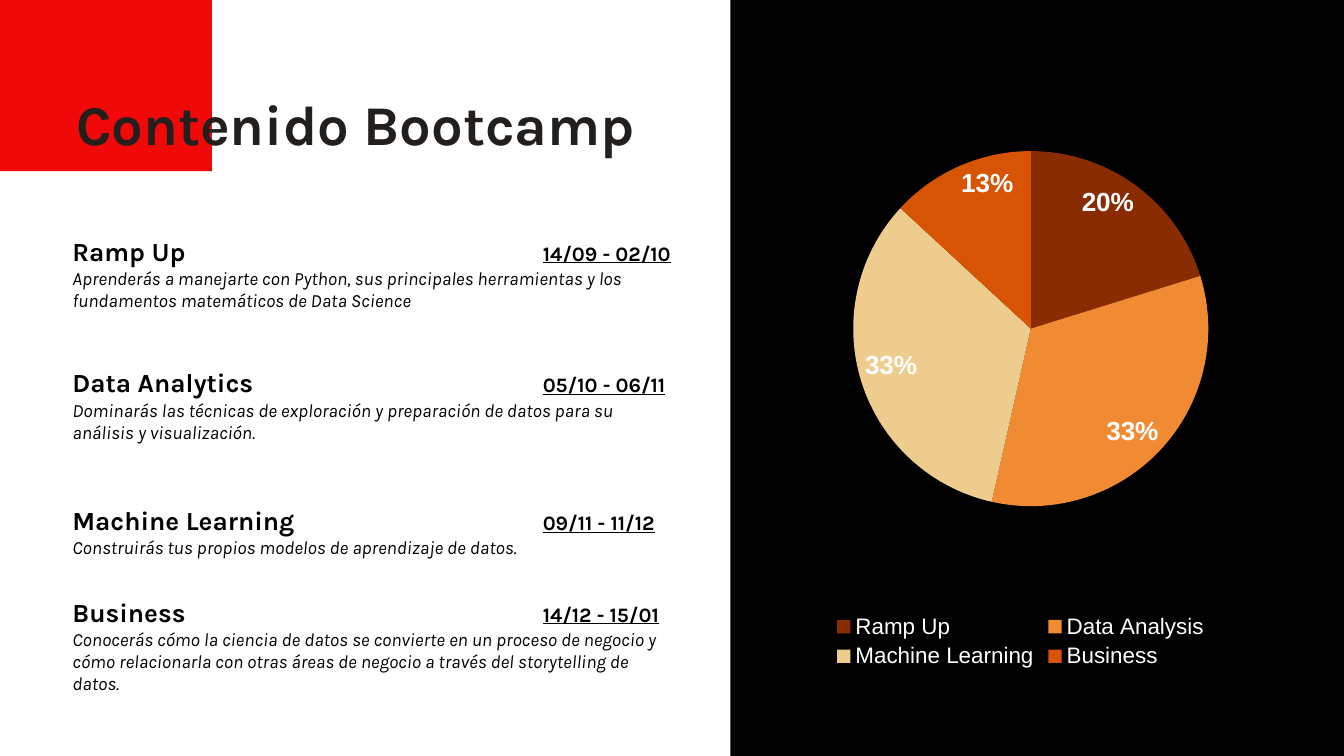
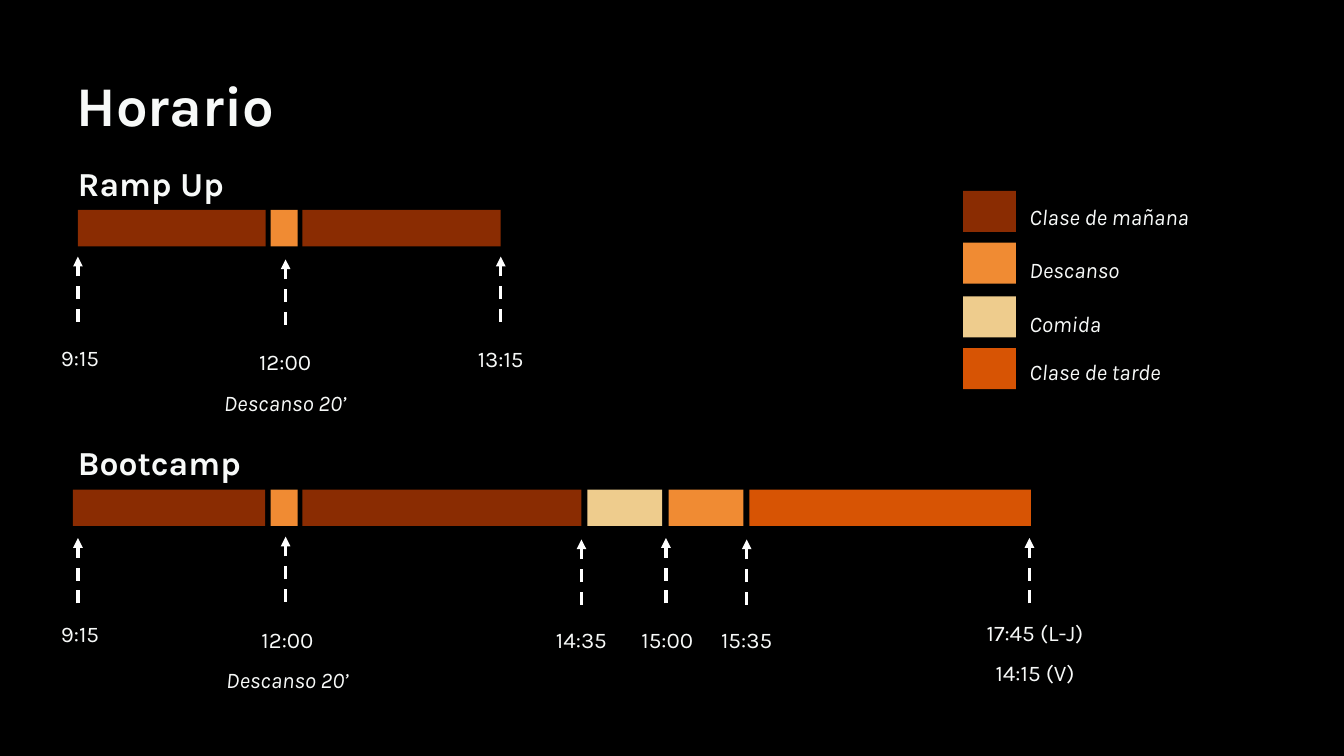
from dataclasses import dataclass
from typing import NamedTuple

from lxml import etree
from pptx import Presentation
from pptx.chart.data import CategoryChartData
from pptx.dml.color import RGBColor
from pptx.enum import chart as ch, dml, shapes, text
from pptx.oxml import ns
from pptx.util import Pt

BLACK, WHITE, RED = "000000", "FFFFFF", "F10909"
INK, PALE = "231F1D", "F7F9F8"
MORNING, BREAK, LUNCH, AFTERNOON = "8A2C02", "F08B33", "EECC8D", "D75404"
FONT, CHART_FONT = "Karla", "Arial"
WIDTH, HEIGHT = 1440, 810
ARROW_LENGTH, LABEL_WIDTH = 70, 200
DATE_TAB = 504


@dataclass
class Style:
    size: float
    color: str = PALE
    bold: bool = False
    italic: bool = False
    underline: bool = False


HEADING = Style(36, bold=True)
TIME = Style(24)
NOTE = Style(24, italic=True)


class Topic(NamedTuple):
    top: float
    name: str
    dates: str
    detail: str
    gap_size: float = 28


class Bar(NamedTuple):
    left: float
    width: float
    color: str


class Mark(NamedTuple):
    x: float
    arrow_top: float
    label_x: float
    label_top: float
    time: str
    extra: str = ""
    extra_style: Style = NOTE


class Track(NamedTuple):
    name: str
    name_top: float
    bar_top: float
    bars: list[Bar]
    marks: list[Mark]


class Key(NamedTuple):
    top: float
    text_top: float
    color: str
    name: str


TOPICS = [
    Topic(248.5, "Ramp Up", "14/09 - 02/10",
          "Aprenderás a manejarte con Python, sus principales herramientas y los "
          "fundamentos matemáticos de Data Science"),
    Topic(385, "Data Analytics", "05/10 - 06/11",
          "Dominarás las técnicas de exploración y preparación de datos para su "
          "análisis y visualización.", 32),
    Topic(537, "Machine Learning", "09/11 - 11/12",
          "Construirás tus propios modelos de aprendizaje de datos."),
    Topic(635, "Business", "14/12 - 15/01",
          "Conocerás cómo la ciencia de datos se convierte en un proceso de negocio y "
          "cómo relacionarla con otras áreas de negocio a través del storytelling de datos."),
]
SHARES = [("Ramp Up", 20, MORNING), ("Data Analysis", 33, BREAK),
          ("Machine Learning", 33, LUNCH), ("Business", 13, AFTERNOON)]
TRACKS = [
    Track("Ramp Up", 153.5, 225,
          [Bar(83.5, 201, MORNING), Bar(290, 29, BREAK), Bar(324, 212.5, MORNING)],
          [Mark(83.5, 275, 85.7, 354, "9:15"),
           Mark(306, 278, 305.5, 359, "12:00", "Descanso 20’"),
           Mark(536.5, 275, 536.5, 355, "13:15")]),
    Track("Bootcamp", 452, 524.5,
          [Bar(78, 206, MORNING), Bar(290, 29, BREAK), Bar(324, 299, MORNING),
           Bar(629.5, 80, LUNCH), Bar(716.5, 80, BREAK), Bar(803, 301.5, AFTERNOON)],
          [Mark(83.5, 576.5, 85.7, 650, "9:15"),
           Mark(306, 575, 308, 656, "12:00", "Descanso 20’"),
           Mark(623, 578, 623, 656.5, "14:35"),
           Mark(713.5, 576.5, 715, 656, "15:00"),
           Mark(800, 578, 800, 656, "15:35"),
           Mark(1103, 576.5, 1109, 648.5, "17:45 (L-J)", "14:15 (V)", TIME)]),
]
KEYS = [Key(204.5, 203, MORNING, "Clase de mañana"), Key(260, 260.5, BREAK, "Descanso"),
        Key(317.5, 317.5, LUNCH, "Comida"), Key(373, 369.5, AFTERNOON, "Clase de tarde")]


def rgb(color: str) -> RGBColor:
    return RGBColor.from_string(color)


def set_font(font, name: str, size: float, color: str, bold: bool = False) -> None:
    font.name, font.size, font.bold = name, Pt(size), bold
    font.color.rgb = rgb(color)


def add_run(p, content: str, style: Style) -> None:
    r = p.add_run()
    r.text = content
    set_font(r.font, FONT, style.size, style.color, style.bold)
    r.font.italic, r.font.underline = style.italic, style.underline


def set_frame(sp, inset_x: float = 0, inset_y: float = 0):
    tf = sp.text_frame
    tf.word_wrap = True
    tf.auto_size = text.MSO_AUTO_SIZE.SHAPE_TO_FIT_TEXT
    tf.vertical_anchor = text.MSO_ANCHOR.TOP
    tf.margin_left = tf.margin_right = Pt(inset_x)
    tf.margin_top = tf.margin_bottom = Pt(inset_y)
    return tf


def add_lines(s, left: float, top: float, width: float, lines: list[tuple[str, Style]],
              align=text.PP_ALIGN.LEFT) -> None:
    height = sum(1.8 * style.size for _, style in lines)
    tf = set_frame(s.shapes.add_textbox(Pt(left), Pt(top), Pt(width), Pt(height)))
    for i, (content, style) in enumerate(lines):
        p = tf.add_paragraph() if i else tf.paragraphs[0]
        p.alignment, p.line_spacing = align, 1.5
        add_run(p, content, style)


def add_rect(s, left: float, top: float, width: float, height: float, color: str) -> None:
    sp = s.shapes.add_shape(shapes.MSO_SHAPE.RECTANGLE, Pt(left), Pt(top), Pt(width), Pt(height))
    sp.shadow.inherit = False
    sp.fill.solid()
    sp.fill.fore_color.rgb = rgb(color)
    sp.line.fill.background()


def add_slide(prs, background: str):
    s = prs.slides.add_slide(prs.slide_layouts[5])
    s.background.fill.solid()
    s.background.fill.fore_color.rgb = rgb(background)
    return s


def set_title(s, content: str, left: float, top: float, width: float, height: float,
              color: str, spacing: float) -> None:
    sp = s.shapes.title
    sp.left, sp.top, sp.width, sp.height = Pt(left), Pt(top), Pt(width), Pt(height)
    p = set_frame(sp).paragraphs[0]
    p.alignment, p.line_spacing = text.PP_ALIGN.LEFT, spacing
    add_run(p, content, Style(60, color, bold=True))
    sp._element.getparent().append(sp._element)


def add_topic(s, topic: Topic) -> None:
    tf = set_frame(s.shapes.add_textbox(Pt(70.5), Pt(topic.top), Pt(662), Pt(90)), 7.2, 3.6)
    p = tf.paragraphs[0]
    tabs = etree.SubElement(p._p.get_or_add_pPr(), ns.qn("a:tabLst"))
    etree.SubElement(tabs, ns.qn("a:tab"), pos=str(Pt(DATE_TAB)), algn="l")
    add_run(p, topic.name, Style(28, BLACK, bold=True))
    add_run(p, "\t", Style(topic.gap_size, BLACK, bold=True))
    add_run(p, topic.dates, Style(22, BLACK, bold=True, underline=True))
    add_run(tf.add_paragraph(), topic.detail, Style(20, BLACK, italic=True))


def add_pie(s) -> None:
    data = CategoryChartData()
    data.categories = [name for name, _, _ in SHARES]
    data.add_series("Series 1", [value for _, value, _ in SHARES])
    chart = s.shapes.add_chart(ch.XL_CHART_TYPE.PIE, Pt(813.5), Pt(18), Pt(559.5), Pt(703.5),
                               data).chart
    set_font(chart.font, CHART_FONT, 10, BLACK)
    chart.has_title = False
    chart.has_legend = True
    chart.legend.position = ch.XL_LEGEND_POSITION.BOTTOM
    chart.legend.include_in_layout = False
    set_font(chart.legend.font, CHART_FONT, 24, WHITE)

    plot = chart.plots[0]
    plot.vary_by_categories = True
    for i, (_, _, color) in enumerate(SHARES):
        fill = plot.series[0].points[i].format.fill
        fill.solid()
        fill.fore_color.rgb = rgb(color)
    labels = plot.series[0].data_labels
    labels.show_percentage, labels.show_value = True, False
    labels.number_format, labels.number_format_is_linked = "0%", False
    labels.position = ch.XL_LABEL_POSITION.INSIDE_END
    set_font(labels.font, CHART_FONT, 28, WHITE, bold=True)

    area = chart._chartSpace.find(".//" + ns.qn("c:plotArea"))
    layout = area.find(ns.qn("c:layout"))
    if layout is None:
        layout = etree.Element(ns.qn("c:layout"))
        area.insert(0, layout)
    manual = etree.SubElement(layout, ns.qn("c:manualLayout"))
    for tag, value in [("layoutTarget", "inner"), ("xMode", "edge"), ("yMode", "edge"),
                       ("x", "0.18"), ("y", "0.13"), ("w", "0.68"), ("h", "0.69")]:
        etree.SubElement(manual, ns.qn("c:" + tag), val=value)


def add_mark(s, mark: Mark) -> None:
    arrow = s.shapes.add_connector(shapes.MSO_CONNECTOR.STRAIGHT, Pt(mark.x),
                                   Pt(mark.arrow_top + ARROW_LENGTH), Pt(mark.x),
                                   Pt(mark.arrow_top))
    arrow.line.color.rgb = rgb(WHITE)
    arrow.line.width = Pt(3.5)
    arrow.line.dash_style = dml.MSO_LINE.DASH
    etree.SubElement(arrow.line._get_or_add_ln(), ns.qn("a:tailEnd"), type="triangle")
    etree.SubElement(arrow._element.spPr, ns.qn("a:effectLst"))
    lines = [(mark.time, TIME)]
    if mark.extra:
        lines.append((mark.extra, mark.extra_style))
    add_lines(s, mark.label_x - LABEL_WIDTH / 2, mark.label_top, LABEL_WIDTH, lines,
              text.PP_ALIGN.CENTER)


def add_track(s, track: Track) -> None:
    add_lines(s, 83.5, track.name_top, 248, [(track.name, HEADING)])
    for bar in track.bars:
        add_rect(s, bar.left, track.bar_top, bar.width, 39, bar.color)
    for mark in track.marks:
        add_mark(s, mark)


def build_contents(prs) -> None:
    s = add_slide(prs, WHITE)
    add_rect(s, 782.5, 0, WIDTH - 782.5, HEIGHT, BLACK)
    add_rect(s, 0, 0, 227, 183.5, RED)
    set_title(s, "Contenido Bootcamp", 81.5, 81.5, 612, 86.5, INK, 1.2)
    add_pie(s)
    for topic in TOPICS:
        add_topic(s, topic)


def build_timetable(prs) -> None:
    s = add_slide(prs, BLACK)
    set_title(s, "Horario", 82, 39, 285, 108, PALE, 1.5)
    for track in TRACKS:
        add_track(s, track)
    for key in KEYS:
        add_rect(s, 1032, key.top, 56.5, 44, key.color)
        add_lines(s, 1103, key.text_top, 193, [(key.name, NOTE)])


def main() -> None:
    prs = Presentation()
    prs.slide_width, prs.slide_height = Pt(WIDTH), Pt(HEIGHT)
    build_contents(prs)
    build_timetable(prs)
    prs.save("out.pptx")


if __name__ == "__main__":
    main()
